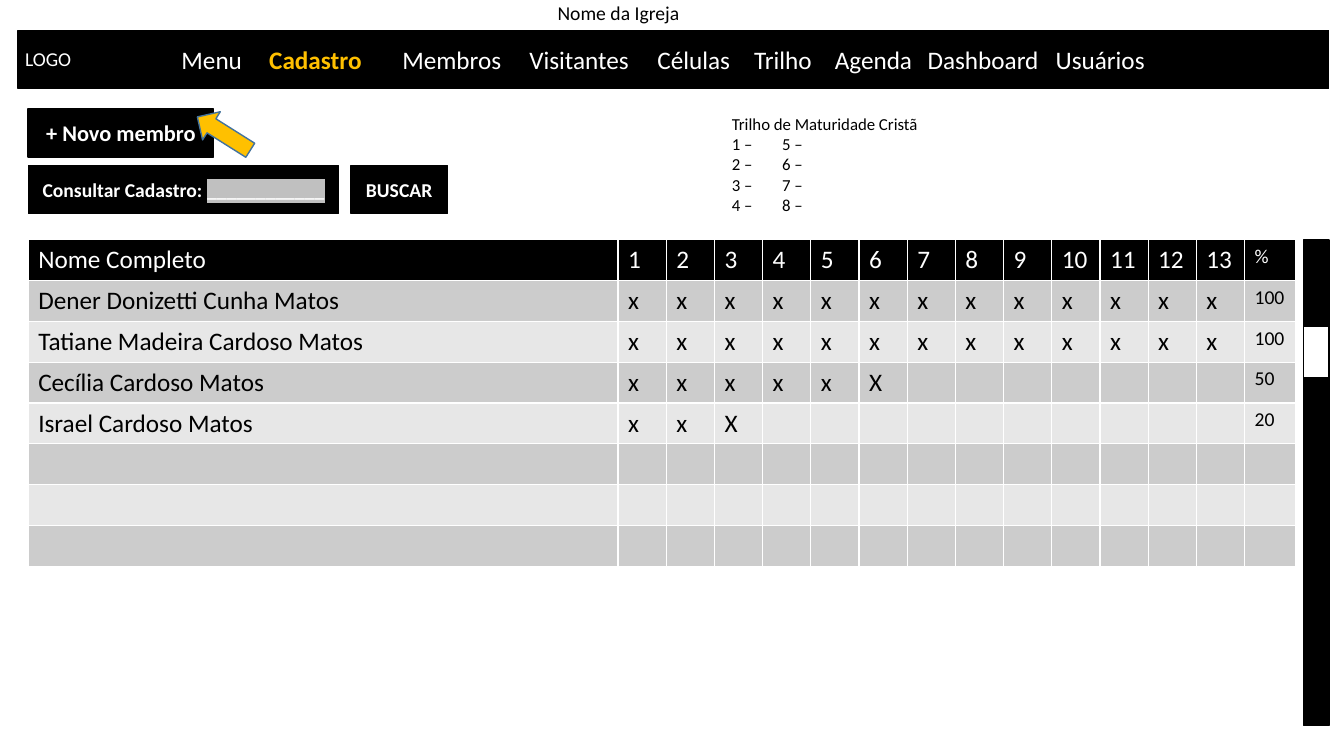
from dataclasses import dataclass

import pptx
import pptx.dml.color
import pptx.enum.shapes
import pptx.enum.text
import pptx.oxml
import pptx.oxml.ns
import pptx.util
from pptx.util import Inches

SHAPE = pptx.enum.shapes.MSO_SHAPE
ALIGN = pptx.enum.text.PP_ALIGN
ANCHOR = pptx.enum.text.MSO_ANCHOR


@dataclass(frozen=True)
class Theme:
    font: str = "Calibri"
    black: str = "000000"
    white: str = "FFFFFF"
    gold: str = "FFC000"
    arrow_line: str = "43739E"
    field: str = "C0C0C0"
    bands: tuple = ("CCCCCC", "E7E7E7")
    large: int = 18
    button: int = 16
    medium: int = 14
    small: int = 12


THEME = Theme()

MENU = ["Menu", "Cadastro", "Membros", "Visitantes", "Células", "Trilho",
        "Agenda", "Dashboard", "Usuários"]
MENU_STOPS = [0.87, 2.19, 3.45, 4.72, 5.68, 6.48, 7.4, 8.67]
STEPS = 13
MEMBERS = [
    ("Dener Donizetti Cunha Matos", "x" * STEPS, "100"),
    ("Tatiane Madeira Cardoso Matos", "x" * STEPS, "100"),
    ("Cecília Cardoso Matos", "xxxxxX", "50"),
    ("Israel Cardoso Matos", "xxX", "20"),
]
EMPTY_ROWS = 3


def rgb(color):
    return pptx.dml.color.RGBColor.from_string(color)


def add_text(p, text, size=THEME.medium, color=THEME.black, bold=False, highlight=None):
    r = p.add_run()
    r.text = text
    r.font.name = THEME.font
    r.font.size = pptx.util.Pt(size)
    r.font.bold = bold
    r.font.color.rgb = rgb(color)
    if highlight:
        mark = pptx.oxml.parse_xml(
            f'<a:highlight {pptx.oxml.ns.nsdecls("a")}><a:srgbClr val="{highlight}"/></a:highlight>')
        r.font.fill  # the fill element precedes the highlight
        r.font._element.find(pptx.oxml.ns.qn("a:solidFill")).addnext(mark)


def add_block(slide, box, fill=THEME.black, line=THEME.black, kind=SHAPE.RECTANGLE):
    sp = slide.shapes.add_shape(kind, *map(Inches, box))
    sp.shadow.inherit = False
    sp.fill.solid()
    sp.fill.fore_color.rgb = rgb(fill)
    sp.line.color.rgb = rgb(line)
    sp.line.width = pptx.util.Pt(1)
    sp.text_frame.vertical_anchor = ANCHOR.MIDDLE
    return sp


def add_button(slide, box, text, size=THEME.medium):
    p = add_block(slide, box).text_frame.paragraphs[0]
    p.alignment = ALIGN.CENTER
    add_text(p, text, size, THEME.white, bold=True)
    return p


def add_text_box(slide, box, lines, **style):
    tf = slide.shapes.add_textbox(*map(Inches, box)).text_frame
    tf.word_wrap = True
    for i, line in enumerate(lines):
        p = tf.add_paragraph() if i else tf.paragraphs[0]
        add_text(p, line, **style)


def add_heading(slide, box, text):
    title = slide.shapes.title
    title.left, title.top, title.width, title.height = map(Inches, box)
    tf = title.text_frame
    tf.auto_size = pptx.enum.text.MSO_AUTO_SIZE.NONE
    tf.vertical_anchor = ANCHOR.TOP
    tf.paragraphs[0].alignment = ALIGN.LEFT
    add_text(tf.paragraphs[0], text)


def add_menu_bar(slide, box, active):
    """Menu entries stand on tab stops measured from the first entry."""
    tf = add_block(slide, box).text_frame
    tf.margin_left = Inches(1.62)
    p = tf.paragraphs[0]
    p.alignment = ALIGN.LEFT
    stops = "".join(f'<a:tab pos="{Inches(x)}" algn="l"/>' for x in MENU_STOPS)
    p._p.get_or_add_pPr().append(pptx.oxml.parse_xml(
        f'<a:tabLst {pptx.oxml.ns.nsdecls("a")}>{stops}</a:tabLst>'))
    for i, entry in enumerate(MENU):
        if i:
            add_text(p, "\t", THEME.large, THEME.white)
        chosen = entry == active
        add_text(p, entry, THEME.large, THEME.gold if chosen else THEME.white, bold=chosen)


def add_member_table(slide, box):
    rows = [["Nome Completo", *map(str, range(1, STEPS + 1)), "%"]]
    rows += [[name, *marks.ljust(STEPS), share] for name, marks, share in MEMBERS]
    rows += [[""] * (STEPS + 2)] * EMPTY_ROWS
    table = slide.shapes.add_table(len(rows), STEPS + 2, *map(Inches, box)).table
    for column, width in zip(table.columns, [5.85] + [0.478] * STEPS + [0.51]):
        column.width = Inches(width)
    for i, row in enumerate(rows):
        fill = THEME.bands[(i - 1) % 2] if i else THEME.black
        for j, text in enumerate(row):
            cell = table.cell(i, j)
            cell.fill.solid()
            cell.fill.fore_color.rgb = rgb(fill)
            if text.strip():
                add_text(cell.text_frame.paragraphs[0], text,
                         THEME.medium if j > STEPS else THEME.large,
                         THEME.black if i else THEME.white)


def main():
    prs = pptx.Presentation()
    prs.slide_width, prs.slide_height = Inches(13.33), Inches(7.5)
    slide = prs.slides.add_slide(prs.slide_layouts.get_by_name("Title Only"))

    add_heading(slide, (5.43, -0.04, 4.94, 0.34), "Nome da Igreja")
    add_menu_bar(slide, (0.18, 0.3, 13, 0.58), active="Cadastro")
    add_text_box(slide, (0.15, 0.42, 0.86, 0.34), ["LOGO"], color=THEME.white)
    add_member_table(slide, (0.28, 2.38, 12.59, 3.24))
    add_text_box(slide, (7.16, 1.08, 5.13, 1.11),
                 ["Trilho de Maturidade Cristã"] + [f"{n} – \t{n + 4} –" for n in range(1, 5)],
                 size=THEME.small)

    add_button(slide, (0.28, 1.08, 1.84, 0.48), "+ Novo membro", THEME.button)
    search = add_button(slide, (0.28, 1.64, 3.08, 0.48), "Consultar Cadastro: ")
    add_text(search, "_" * 12, color=THEME.white, bold=True, highlight=THEME.field)
    add_button(slide, (3.48, 1.64, 0.96, 0.48), "BUSCAR")

    add_block(slide, (12.93, 2.38, 0.25, 4.82))
    add_block(slide, (12.93, 3.24, 0.25, 0.51), fill=THEME.white)
    arrow = add_block(slide, (1.91, 1.16, 0.62, 0.33), THEME.gold, THEME.arrow_line,
                      SHAPE.RIGHT_ARROW)
    arrow.rotation = 212.2

    prs.save("out.pptx")


if __name__ == "__main__":
    main()
